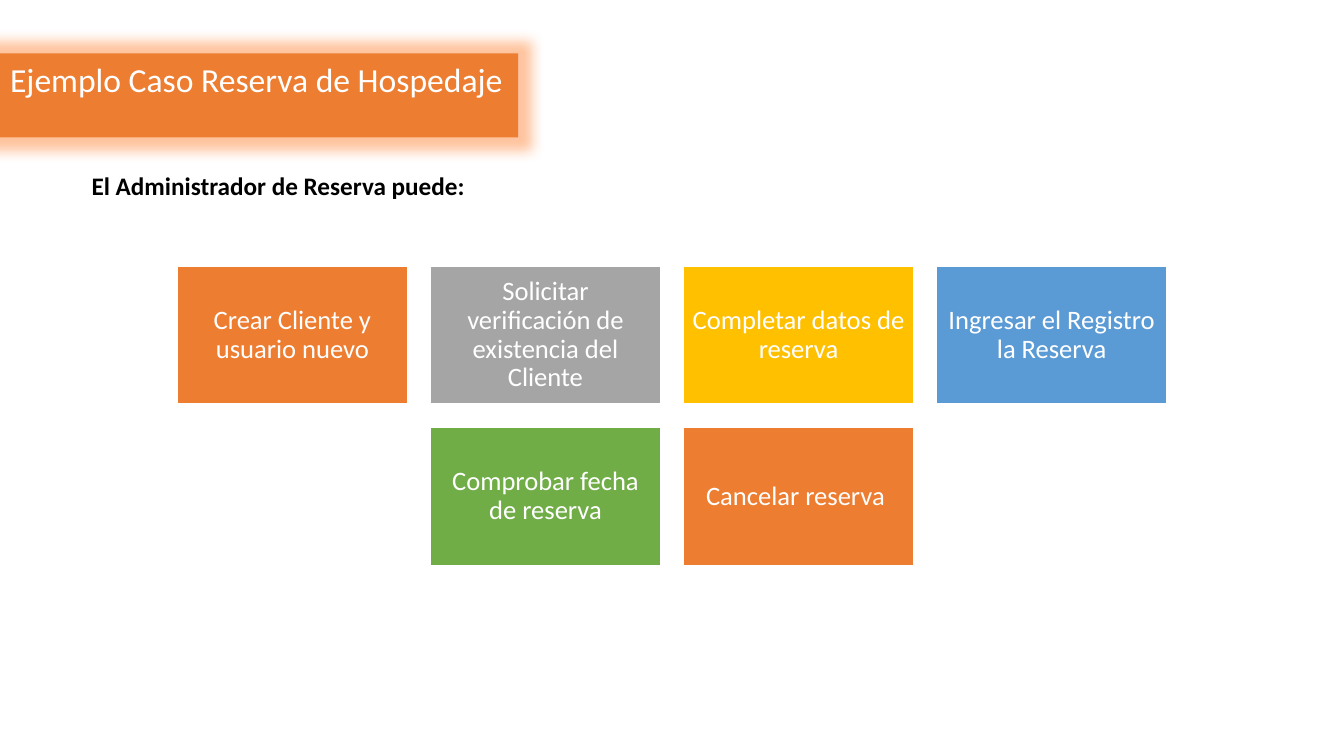
"""Build a slide listing what the reservation administrator can do."""
from dataclasses import dataclass

from lxml import etree
from pptx import Presentation
from pptx.dml.color import RGBColor
from pptx.enum.shapes import MSO_SHAPE
from pptx.enum.text import MSO_ANCHOR, MSO_AUTO_SIZE, PP_ALIGN
from pptx.oxml.ns import qn
from pptx.util import Inches, Pt

RECTANGLE = MSO_SHAPE.RECTANGLE
MIDDLE, TOP = MSO_ANCHOR.MIDDLE, MSO_ANCHOR.TOP
CENTER, LEFT = PP_ALIGN.CENTER, PP_ALIGN.LEFT
FIT_SHAPE, NO_FIT = MSO_AUTO_SIZE.SHAPE_TO_FIT_TEXT, MSO_AUTO_SIZE.NONE


@dataclass(frozen=True)
class Theme:
    font: str = "Calibri"
    white: str = "FFFFFF"
    black: str = "000000"
    orange: str = "ED7D31"
    gray: str = "A5A5A5"
    gold: str = "FFC000"
    blue: str = "5B9BD5"
    green: str = "70AD47"
    glow: str = "FF6B0D"
    title_size: int = 24
    lead_size: int = 18
    card_size: int = 19


theme = Theme()


def write(shape, text, size, color, align, anchor, bold=False):
    frame = shape.text_frame
    frame.vertical_anchor = anchor
    para = frame.paragraphs[0]
    para.alignment = align
    span = para.add_run()
    span.text = text
    span.font.name = theme.font
    span.font.size = Pt(size)
    span.font.bold = bold
    span.font.color.rgb = RGBColor.from_string(color)
    return frame, para


def place(shape, left, top, width, height):
    shape.left, shape.top = Inches(left), Inches(top)
    shape.width, shape.height = Inches(width), Inches(height)


SLIDE_WIDTH, SLIDE_HEIGHT = 13.33, 7.5
deck = Presentation()
deck.slide_width, deck.slide_height = Inches(SLIDE_WIDTH), Inches(SLIDE_HEIGHT)
page = deck.slides.add_slide(deck.slide_layouts[5])

title = page.shapes.title
place(title, 0, 0.53, 5.14, 0.5)
title.fill.solid()
title.fill.fore_color.rgb = RGBColor.from_string(theme.orange)
frame, para = write(title, "Ejemplo Caso Reserva de Hospedaje",
                    theme.title_size, theme.white, LEFT, TOP)
frame.word_wrap = False
frame.auto_size = FIT_SHAPE
effects = etree.SubElement(title.element.spPr, qn("a:effectLst"))
glow = etree.SubElement(effects, qn("a:glow"), rad=str(Pt(18)))
glow_color = etree.SubElement(glow, qn("a:srgbClr"), val=theme.glow)
etree.SubElement(glow_color, qn("a:alpha"), val="40000")

lead = page.shapes.add_textbox(Inches(0.81), Inches(1.64), Inches(3.93), Inches(0.4))
frame, para = write(lead, "El Administrador de Reserva puede:",
                    theme.lead_size, theme.black, LEFT, TOP, bold=True)
frame.word_wrap = False
frame.auto_size = FIT_SHAPE

CARD_WIDTH, CARD_HEIGHT, GAP, GRID_TOP = 2.28, 1.37, 0.23, 2.64
card_rows = [
    [("Crear Cliente y usuario nuevo", theme.orange),
     ("Solicitar verificación de existencia del Cliente", theme.gray),
     ("Completar datos de reserva", theme.gold),
     ("Ingresar el Registro la Reserva", theme.blue)],
    [("Comprobar fecha de reserva", theme.green),
     ("Cancelar reserva ", theme.orange)],
]

for row, cards in enumerate(card_rows):
    row_width = len(cards) * (CARD_WIDTH + GAP) - GAP
    row_left = (SLIDE_WIDTH - row_width) / 2
    for column, (label, color) in enumerate(cards):
        box = page.shapes.add_shape(RECTANGLE, 0, 0, 0, 0)
        place(box, row_left + column * (CARD_WIDTH + GAP),
              GRID_TOP + row * (CARD_HEIGHT + GAP), CARD_WIDTH, CARD_HEIGHT)
        box.shadow.inherit = False
        box.fill.solid()
        box.fill.fore_color.rgb = RGBColor.from_string(color)
        box.line.color.rgb = RGBColor.from_string(theme.white)
        box.line.width = Pt(1)
        frame, para = write(box, label, theme.card_size, theme.white, CENTER, MIDDLE)
        frame.word_wrap = True
        frame.auto_size = NO_FIT
        frame.margin_left = frame.margin_right = Inches(0.08)
        frame.margin_top = frame.margin_bottom = Inches(0.08)
        para.line_spacing = 0.9

deck.save("out.pptx")
